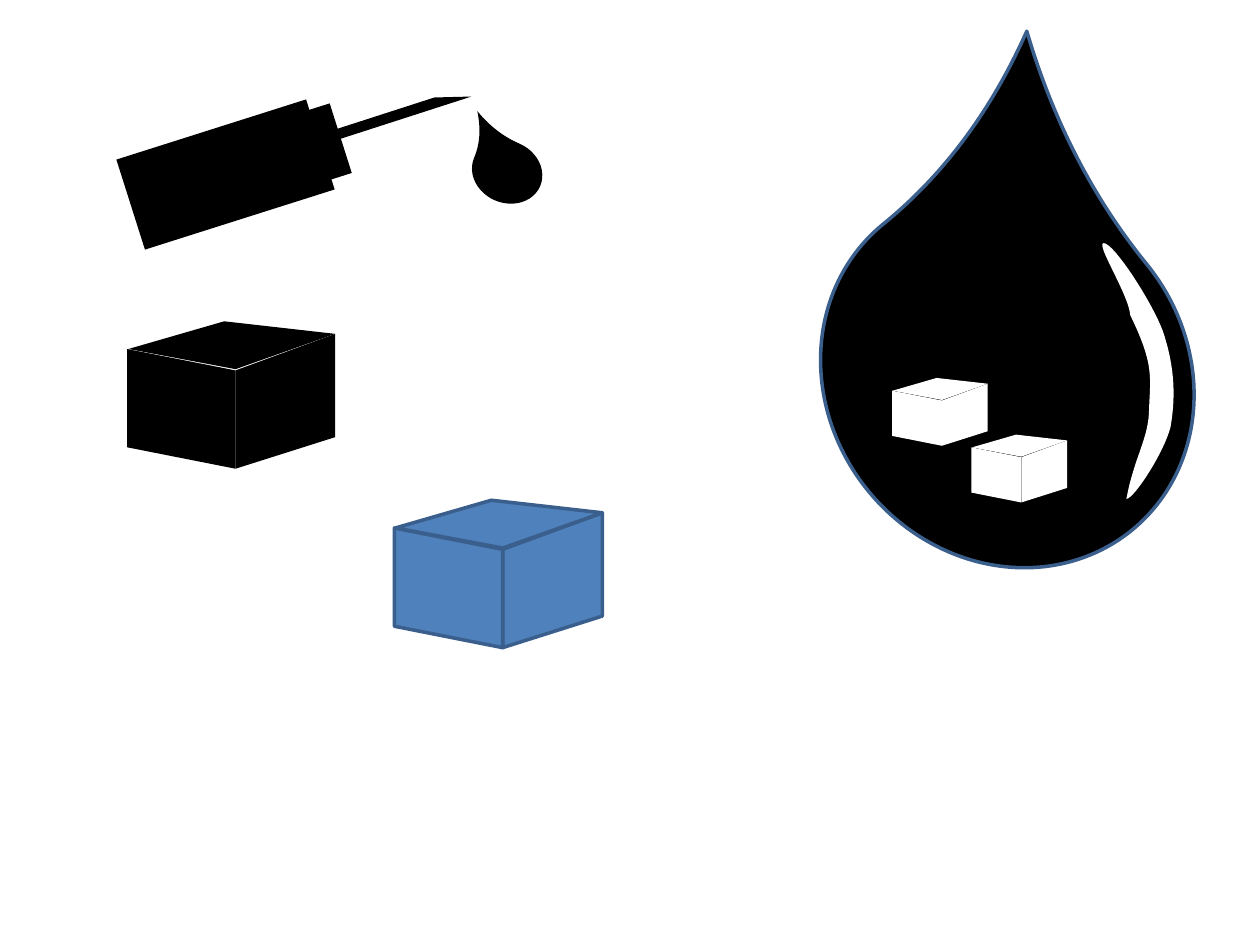
from pptx import Presentation
from pptx.dml.color import RGBColor
from pptx.enum.shapes import MSO_SHAPE as Kind
from pptx.util import Inches, Pt

BLACK = RGBColor(0x00, 0x00, 0x00)
WHITE = RGBColor(0xFF, 0xFF, 0xFF)
BLUE = RGBColor(0x4F, 0x81, 0xBD)
NAVY = RGBColor(0x3A, 0x5F, 0x8C)

# Syringe and its drop: kind, box in inches, turn, adjustment
SYRINGE = [
    (Kind.RECTANGLE, (1, 1.01, 1.58, 0.75), 342.4, None),
    (Kind.RECTANGLE, (1.65, 0.97, 1.08, 0.58), 342.4, None),
    (Kind.DIAGONAL_STRIPE, (1.79, 0.79, 1.96, 0.58), 358.6, 0.85),
    (Kind.TEAR, (3.78, 1.08, 0.49, 0.57), 293.2, 1.43),
]
DROP = (Kind.TEAR, (6.57, 1.43, 2.85, 3.13), 320.9, 1.3)

# Cube faces in inches from the cube's corner: right, left, top
FACES = [
    [(0.86, 0.39), (1.65, 0.1), (1.65, 0.92), (0.86, 1.17)],
    [(0, 0.22), (0.86, 0.39), (0.86, 1.17), (0, 1)],
    [(0.01, 0.22), (0.77, 0), (1.65, 0.1), (0.86, 0.38)],
]
# Corner, scale, fill, line
CUBES = [
    ((3.13, 3.97), 1, BLUE, NAVY),
    ((1.01, 2.55), 1, BLACK, None),
]
SUGAR = [
    ((7.08, 3), 0.46, WHITE, None),
    ((7.71, 3.45), 0.46, WHITE, None),
]

# Highlight on the big drop: start, then curves of two handles and an end
SHINE = (8.94, 3.96)
CURVES = [
    ((9, 3.96), (9.24, 3.59), (9.29, 3.39)),
    ((9.34, 3.11), (9.31, 2.87), (9.23, 2.63)),
    ((9.14, 2.39), (8.84, 1.93), (8.76, 1.93)),
    ((8.69, 1.93), (8.96, 2.34), (8.97, 2.5)),
    ((9.16, 2.89), (9.13, 2.99), (9.12, 3.24)),
    ((9.12, 3.48), (9, 3.63), (8.94, 3.96)),
]
STEPS = 16


def paint(shape, fill, line=None):
    shape.shadow.inherit = False
    shape.fill.solid()
    shape.fill.fore_color.rgb = fill
    if line is None:
        shape.line.fill.background()
    else:
        shape.line.color.rgb = line
        shape.line.width = Pt(2)


def preset(group, kind, box, turn, adjust, line=None):
    shape = group.shapes.add_shape(kind, *map(Inches, box))
    shape.rotation = turn
    if adjust is not None:
        shape.adjustments[0] = adjust
    paint(shape, BLACK, line)


def outline(group, points, fill, line=None):
    first, *rest = [(Inches(x), Inches(y)) for x, y in points]
    pen = group.shapes.build_freeform(*first)
    pen.add_line_segments(rest, close=True)
    paint(pen.convert_to_shape(), fill, line)


def cube(group, corner, scale, fill, line):
    left, top = corner
    for face in FACES:
        points = [(left + x * scale, top + y * scale) for x, y in face]
        outline(group, points, fill, line)


def trace(start, curves):
    points = [start]
    for one, two, end in curves:
        for step in range(1, STEPS + 1):
            t = step / STEPS
            u = 1 - t
            points.append(tuple(
                u**3 * a + 3 * u * u * t * b + 3 * u * t * t * c + t**3 * d
                for a, b, c, d in zip(start, one, two, end)))
        start = end
    return points


deck = Presentation()
deck.slide_width, deck.slide_height = Inches(10), Inches(7.5)
slide = deck.slides.add_slide(deck.slide_layouts[6])
new_group = slide.shapes.add_group_shape

# Syringe
group = new_group()
for part in SYRINGE:
    preset(group, *part)

# Loose cubes
for item in CUBES:
    cube(new_group(), *item)

# Big drop with sugar cubes and highlight
group = new_group()
preset(group, *DROP, line=NAVY)
for item in SUGAR:
    cube(group, *item)
outline(group, trace(SHINE, CURVES), WHITE)

deck.save("out.pptx")
